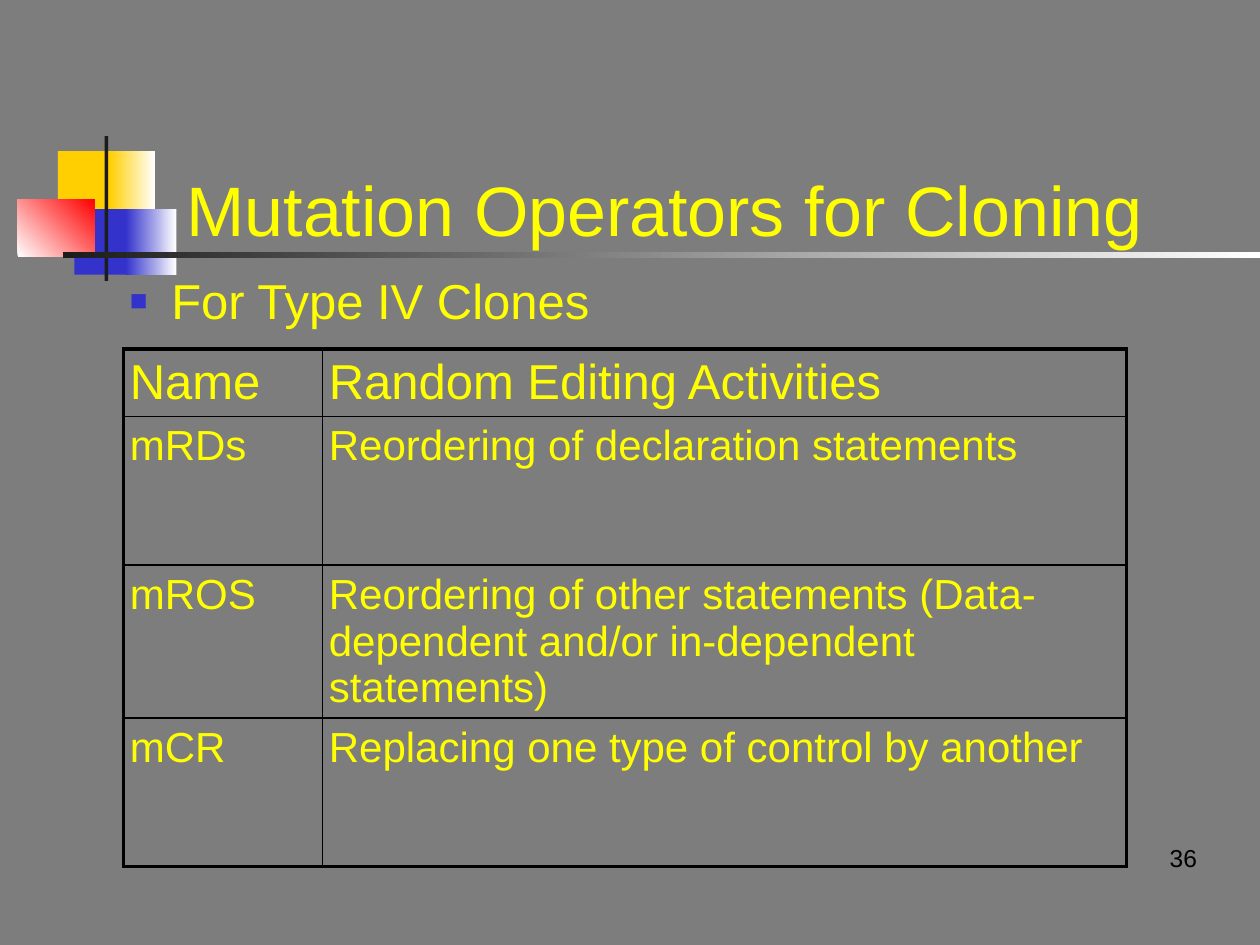
"""Build the slide on mutation operators for cloning."""
from lxml import etree
from pptx import Presentation
from pptx.dml.color import RGBColor
from pptx.enum.shapes import MSO_SHAPE
from pptx.enum.text import MSO_ANCHOR, MSO_AUTO_SIZE, PP_ALIGN
from pptx.oxml.ns import qn
from pptx.util import Inches, Pt

RECT = MSO_SHAPE.RECTANGLE
BOTTOM = MSO_ANCHOR.BOTTOM
FIXED = MSO_AUTO_SIZE.NONE
LEFT, RIGHT = PP_ALIGN.LEFT, PP_ALIGN.RIGHT

FONT = "Arial"
HEX = {"back": "7D7D7D", "text": "FFFF00", "gold": "FFCF01", "blue": "3333CC",
       "red": "FF0000", "dark": "1C1C1C", "white": "FFFFFF", "black": "000000"}

TITLE = "Mutation Operators for Cloning"
POINT = "For Type IV Clones"
PAGE = "36"
ROWS = [
    ("Name", "Random Editing Activities"),
    ("mRDs", "Reordering of declaration statements"),
    ("mROS", "Reordering of other statements "
             "(Data-dependent and/or in-dependent statements)"),
    ("mCR", "Replacing one type of control by another"),
]
WIDE = (1.58, 6.38)
HIGH = (0.53, 1.18, 1.21, 1.18)
MOTIF = [
    ((0.46, 1.2, 0.48, 0.52), ("gold",), 0),
    ((0.87, 1.2, 0.36, 0.52), ("gold", "white"), 0),
    ((0.59, 1.66, 0.46, 0.52), ("blue",), 0),
    ((1, 1.66, 0.4, 0.52), ("blue", "white"), 0),
    ((0.14, 1.58, 0.61, 0.46), ("white", "red"), 45),
    ((0.83, 1.08, 0.03, 1.15), ("dark",), 0),
    ((0.5, 2, 9.5, 0.05), ("dark", "white"), 0),
]


def rgb(name):
    return RGBColor.from_string(HEX[name])


def place(shape, box):
    shape.left, shape.top, shape.width, shape.height = map(Inches, box)


def write(frame, text, size, color="text", pad=0, before=0, align=LEFT):
    frame.text = text
    frame.word_wrap = True
    frame.margin_left = frame.margin_right = Inches(pad)
    frame.margin_top = frame.margin_bottom = Inches(pad)
    para = frame.paragraphs[0]
    para.alignment, para.space_before = align, Pt(before)
    font = para.runs[0].font
    font.name, font.size, font.color.rgb = FONT, Pt(size), rgb(color)
    return para


def bullet(para, mark, color, share, indent):
    props = para._p.get_or_add_pPr()
    props.set("marL", str(Inches(indent)))
    props.set("indent", str(-Inches(indent)))
    tint = etree.SubElement(props, qn("a:buClr"))
    etree.SubElement(tint, qn("a:srgbClr"), val=HEX[color])
    etree.SubElement(props, qn("a:buSzPct"), val=str(share * 1000))
    etree.SubElement(props, qn("a:buFont"), typeface=FONT)
    etree.SubElement(props, qn("a:buChar"), char=mark)


def border(cell, outer):
    props = cell._tc.get_or_add_tcPr()
    for side, edge in zip("LRTB", outer):
        width = Pt(2.25 if edge else 1)
        line = etree.SubElement(props, qn(f"a:ln{side}"), w=str(width))
        fill = etree.SubElement(line, qn("a:solidFill"))
        etree.SubElement(fill, qn("a:srgbClr"), val=HEX["black"])


def draw(shapes):
    for box, tones, angle in MOTIF:
        part = shapes.add_shape(RECT, *map(Inches, box))
        part.shadow.inherit = False
        part.line.fill.background()
        if len(tones) == 1:
            part.fill.solid()
            part.fill.fore_color.rgb = rgb(tones[0])
            continue
        part.fill.gradient()
        part.fill.gradient_angle = angle
        for stop, tone in zip(part.fill.gradient_stops, tones):
            stop.color.rgb = rgb(tone)


def fill_table(shapes):
    box = map(Inches, (0.98, 2.77, sum(WIDE), sum(HIGH)))
    grid = shapes.add_table(len(ROWS), len(WIDE), *box).table
    grid.first_row = grid.horz_banding = False
    for col, width in zip(grid.columns, WIDE):
        col.width = Inches(width)
    for i, (row, height) in enumerate(zip(ROWS, HIGH)):
        grid.rows[i].height = Inches(height)
        size, gap = (24, 2) if i else (28, 3)
        for j, text in enumerate(row):
            cell = grid.cell(i, j)
            write(cell.text_frame, text, size, before=gap)
            cell.margin_left = cell.margin_right = Inches(0.05)
            cell.margin_top = cell.margin_bottom = Inches(0.05)
            border(cell, (j == 0, j == len(WIDE) - 1, i == 0, i == len(ROWS) - 1))
            cell.fill.background()


def main():
    deck = Presentation()
    deck.slide_width, deck.slide_height = Inches(10), Inches(7.5)
    slide = deck.slides.add_slide(deck.slide_layouts[1])
    slide.background.fill.solid()
    slide.background.fill.fore_color.rgb = rgb("back")
    shapes = slide.shapes
    draw(shapes)

    title, body = shapes.title, slide.placeholders[1]
    place(title, (1.48, 0.74, 8.52, 1.25))
    write(title.text_frame, TITLE, 40)
    title.text_frame.vertical_anchor = BOTTOM
    place(body, (0.98, 2.1, 3.83, 0.57))
    bullet(write(body.text_frame, POINT, 28, pad=0.05, before=6),
           "■", "blue", 60, 0.33)
    for holder in (title, body):
        holder.text_frame.auto_size = FIXED

    fill_table(shapes)
    page = shapes.add_textbox(*map(Inches, (7.42, 6.6, 2.08, 0.32)))
    write(page.text_frame, PAGE, 14, "black", align=RIGHT)
    page.text_frame.vertical_anchor = BOTTOM
    deck.save("out.pptx")


if __name__ == "__main__":
    main()
